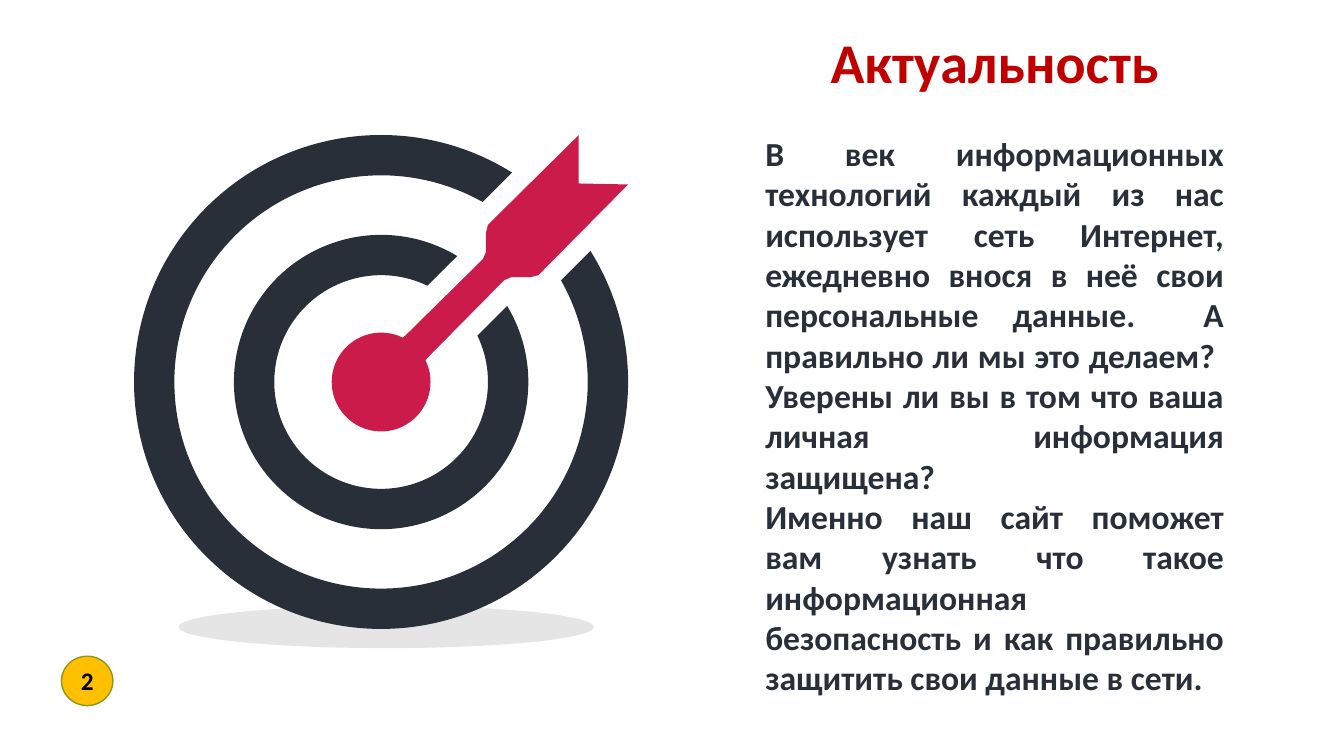
import math
from dataclasses import dataclass

from lxml import etree
from pptx import Presentation
from pptx import util as u
from pptx.dml.color import RGBColor
from pptx.enum import shapes, text
from pptx.oxml import ns


@dataclass(frozen=True)
class Theme:
    """Colours, font and type sizes of the slide."""
    font: str = "Calibri"
    dark: RGBColor = RGBColor(0x28, 0x2F, 0x39)
    arrow: RGBColor = RGBColor(0xCB, 0x1B, 0x4A)
    title: RGBColor = RGBColor(0xC0, 0x00, 0x00)
    black: RGBColor = RGBColor(0, 0, 0)
    badge: RGBColor = RGBColor(0xFF, 0xC0, 0x00)
    badge_line: RGBColor = RGBColor(0x90, 0x95, 0x1A)
    title_size: int = 40
    body_size: int = 24
    badge_size: int = 18


theme = Theme()
CENTER_X, CENTER_Y = 3.78, 3.79
ARC_CURVES = 4

presentation = Presentation()
presentation.slide_width = u.Inches(13.33)
presentation.slide_height = u.Inches(7.5)
slide = presentation.slides.add_slide(presentation.slide_layouts[1])


def open_arc(radius, half_gap):
    """Return Bezier points of an arc, open by a strip to the upper right."""
    half_angle = math.asin(half_gap / radius)
    step = (2 * math.pi - 2 * half_angle) / ARC_CURVES
    handle = 4 / 3 * math.tan(step / 4)
    points = []
    for index in range(ARC_CURVES + 1):
        angle = half_angle - math.pi / 4 + index * step
        x, y = radius * math.cos(angle), radius * math.sin(angle)
        points += [(x + handle * y, y - handle * x), (x, y),
                   (x - handle * y, y + handle * x)]
    return points[1:-1]


def write(shape, lines, size, color, alignment, anchor):
    """Fill a shape with bold paragraphs of one style."""
    frame = shape.text_frame
    frame.text = "\n".join(lines)
    frame.word_wrap = True
    frame.auto_size = text.MSO_AUTO_SIZE.NONE
    frame.vertical_anchor = anchor
    for paragraph in frame.paragraphs:
        paragraph.alignment = alignment
        paragraph.space_before = u.Pt(0)
        font = paragraph.font
        font.name, font.size, font.bold = theme.font, u.Pt(size), True
        font.color.rgb = color


# Title and body text
title, body = slide.placeholders
for placeholder, box in ((title, (7.83, 0.22, 4.07, 0.77)),
                         (body, (7.49, 1.27, 4.75, 5.76))):
    (placeholder.left, placeholder.top,
     placeholder.width, placeholder.height) = map(u.Inches, box)

write(title, ["Актуальность"], theme.title_size, theme.title,
      text.PP_ALIGN.CENTER, text.MSO_ANCHOR.TOP)
write(body, [
    "В век информационных технологий каждый из нас использует сеть Интернет, "
    "ежедневно внося в неё свои персональные данные.  А правильно ли мы это "
    "делаем?  Уверены ли вы в том что ваша личная информация защищена?",
    "Именно наш сайт поможет вам узнать что такое информационная безопасность "
    "и как правильно защитить свои данные в сети.",
], theme.body_size, theme.dark, text.PP_ALIGN.JUSTIFY, text.MSO_ANCHOR.TOP)
for paragraph in body.text_frame.paragraphs:
    properties = paragraph._p.get_or_add_pPr()
    properties.set("marL", "0")
    properties.set("indent", "0")
    bullet = etree.Element(ns.qn("a:buNone"))
    properties.find(ns.qn("a:spcBef")).addnext(bullet)

# Ground shadow under the target
ground = slide.shapes.add_shape(
    shapes.MSO_SHAPE.OVAL, *map(u.Inches, (1.77, 6.01, 4.12, 0.42)))
ground.shadow.inherit = False
ground.fill.solid()
ground.fill.fore_color.rgb = theme.black
ground.line.fill.background()
ground_color = ground._element.spPr.find(ns.qn("a:solidFill"))[0]
etree.SubElement(ground_color, ns.qn("a:alpha")).set("val", "10000")

# Target: two open rings and an arrow symmetric about the diagonal
outer_ring = open_arc(2.45, 0.55) + open_arc(2.05, 0.55)[::-1]
inner_ring = open_arc(1.46, 0.35) + open_arc(1.06, 0.35)[::-1]
arrow_edge = [(0.24, -0.46), (1.01, -1.22), (1.04, -1.29), (1.04, -1.48),
              (1.06, -1.56), (1.96, -2.45)]
arrow_notch = [(1.96, -1.97)]
mirrored_edge = [(-y, -x) for x, y in reversed(arrow_edge)]
arrow = open_arc(0.49, 0.16) + arrow_edge + arrow_notch + mirrored_edge

target = slide.shapes.add_group_shape()
for offsets, color, arc_count in ((outer_ring, theme.dark, 2),
                                  (inner_ring, theme.dark, 2),
                                  (arrow, theme.arrow, 1)):
    points = [(u.Inches(CENTER_X + x), u.Inches(CENTER_Y + y))
              for x, y in offsets]
    builder = target.shapes.build_freeform(*points[0])
    builder.add_line_segments(points[1:], close=True)
    part = builder.convert_to_shape()
    part.shadow.inherit = False
    part.fill.solid()
    part.fill.fore_color.rgb = color
    part.line.fill.background()

    # Join each three segments of an arc into one curve
    segments = list(part._element.iter(ns.qn("a:lnTo")))
    for arc in range(arc_count):
        for index in range(ARC_CURVES):
            first = arc * (3 * ARC_CURVES + 1) + 3 * index
            curve = etree.Element(ns.qn("a:cubicBezTo"))
            segments[first].addprevious(curve)
            for segment in segments[first:first + 3]:
                curve.append(segment[0])
                segment.getparent().remove(segment)

# Page number badge
badge = slide.shapes.add_shape(
    shapes.MSO_SHAPE.FLOWCHART_CONNECTOR,
    *map(u.Inches, (0.61, 6.51, 0.51, 0.49)))
badge.shadow.inherit = False
badge.fill.solid()
badge.fill.fore_color.rgb = theme.badge
badge.line.color.rgb = theme.badge_line
badge.line.width = u.Pt(1)
write(badge, ["2"], theme.badge_size, theme.black,
      text.PP_ALIGN.CENTER, text.MSO_ANCHOR.MIDDLE)

presentation.save("out.pptx")
